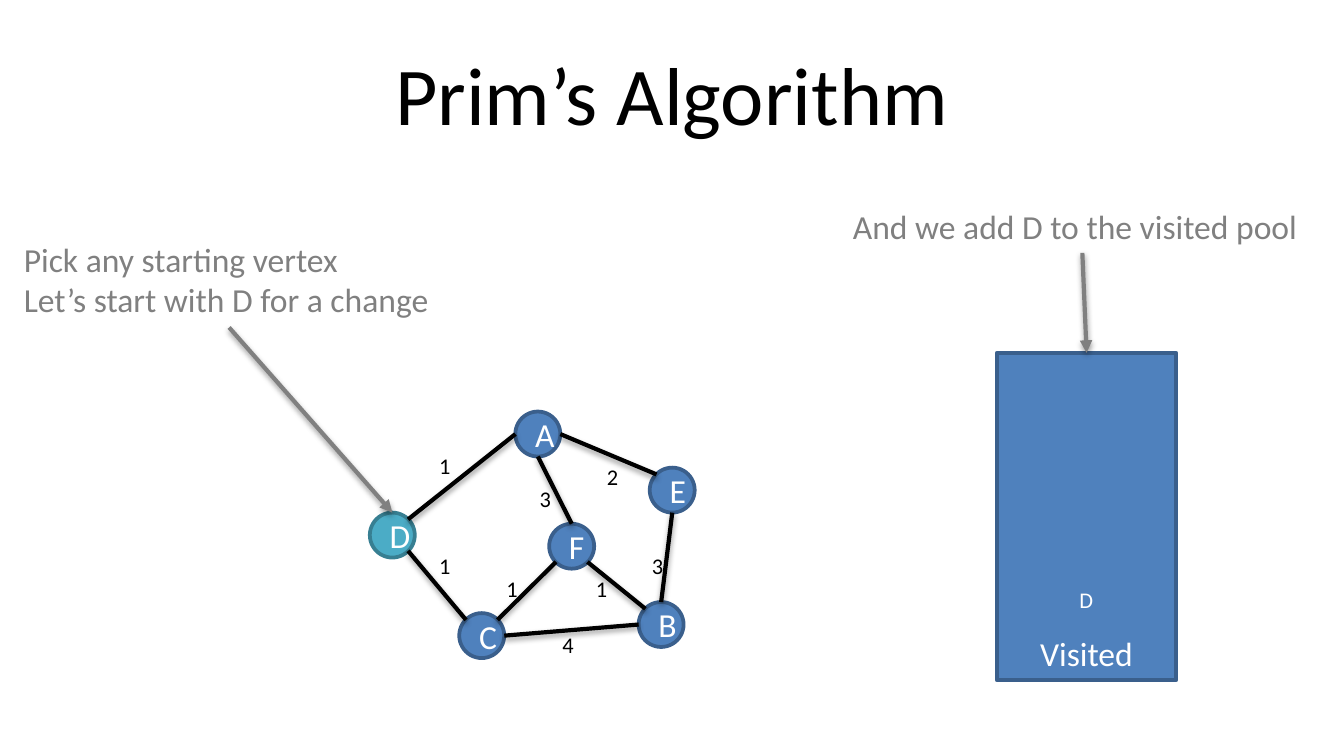
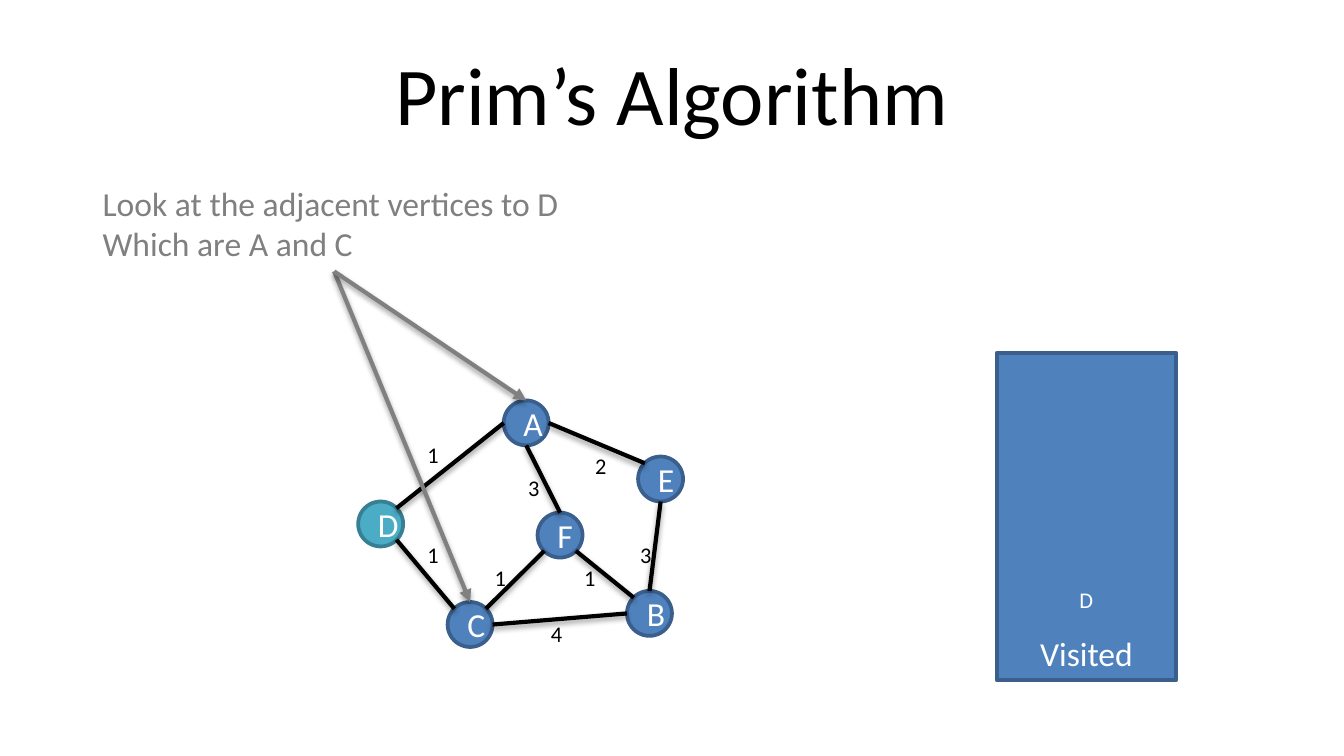
"""Build two slides that step through Prim's algorithm."""
from dataclasses import dataclass

from lxml import etree
from pptx import Presentation
from pptx.dml.color import RGBColor
from pptx.enum.shapes import MSO_CONNECTOR, MSO_SHAPE
from pptx.enum.text import MSO_ANCHOR, MSO_AUTO_SIZE, PP_ALIGN
from pptx.oxml.ns import qn
from pptx.shapes.autoshape import Shape
from pptx.shapes.connector import Connector
from pptx.slide import Slide
from pptx.text.text import TextFrame
from pptx.util import Cm, Pt

STRAIGHT = MSO_CONNECTOR.STRAIGHT
OVAL, RECTANGLE = MSO_SHAPE.OVAL, MSO_SHAPE.RECTANGLE
MIDDLE, BOTTOM_ANCHOR, TOP_ANCHOR = MSO_ANCHOR.MIDDLE, MSO_ANCHOR.BOTTOM, MSO_ANCHOR.TOP
CENTER, LEFT_ALIGN = PP_ALIGN.CENTER, PP_ALIGN.LEFT
GROW = MSO_AUTO_SIZE.SHAPE_TO_FIT_TEXT

BLACK = RGBColor(0x00, 0x00, 0x00)
WHITE = RGBColor(0xFF, 0xFF, 0xFF)
GREY = RGBColor(0x80, 0x80, 0x80)
BLUE = RGBColor(0x4F, 0x81, 0xBD)
BLUE_EDGE = RGBColor(0x3A, 0x5F, 0x8C)
TEAL = RGBColor(0x4B, 0xAC, 0xC6)
TEAL_EDGE = RGBColor(0x37, 0x7F, 0x92)
FONT = "Calibri"

Point = tuple[float, float]
Box = tuple[float, float, float, float]

TITLE = "Prim’s Algorithm"
TITLE_BOX: Box = (1.27, 0.57, 22.86, 2.38)
POOL = "Visited"
POOL_BOX: Box = (18.84, 6.67, 3.39, 6.19)
VISITED_VERTEX_BOX: Box = (20.11, 10.95, 0.84, 0.76)
START = "D"
DIAMETER = 0.85
WEIGHT_SIZE: Point = (0.74, 0.76)

NEAR, MID, FAR = 0.15, 0.5, 0.85
TOP, LEFT, BOTTOM, RIGHT = (MID, 0), (0, MID), (MID, 1), (1, MID)
TOP_LEFT, TOP_RIGHT = (NEAR, NEAR), (FAR, NEAR)
BOTTOM_LEFT, BOTTOM_RIGHT = (NEAR, FAR), (FAR, FAR)
TOP_SITE, BOTTOM_SITE = 0, 2

VERTICES: dict[str, Point] = {
    "A": (2.75, 0),
    "C": (1.69, 3.81),
    "B": (5.08, 3.6),
    "D": (0, 1.91),
    "E": (5.29, 1.06),
    "F": (3.39, 2.12),
}


@dataclass(frozen=True)
class Edge:
    """A weighted edge between points on the rims of two vertices."""

    start: str
    start_rim: Point
    end: str
    end_rim: Point
    weight: int
    weight_at: Point


@dataclass(frozen=True)
class Note:
    """A grey remark with arrows to the things it speaks of."""

    text: str
    box: Box
    targets: tuple[str, ...]


@dataclass(frozen=True)
class Step:
    """One slide: where the graph sits and what is said about it."""

    graph_origin: Point
    notes: tuple[Note, ...]


EDGES = (
    Edge("A", LEFT, "D", TOP_RIGHT, 1, (1.06, 0.64)),
    Edge("C", TOP_LEFT, "D", BOTTOM_RIGHT, 1, (1.06, 2.54)),
    Edge("C", TOP_RIGHT, "F", BOTTOM_LEFT, 1, (2.33, 2.96)),
    Edge("B", TOP_LEFT, "F", BOTTOM_RIGHT, 1, (4.02, 2.96)),
    Edge("E", BOTTOM, "B", TOP, 3, (5.08, 2.54)),
    Edge("E", TOP_LEFT, "A", RIGHT, 2, (4.23, 0.85)),
    Edge("B", LEFT, "C", RIGHT, 4, (3.39, 4.02)),
    Edge("A", BOTTOM, "F", TOP, 3, (2.96, 1.27)),
)

STEPS = (
    Step((6.99, 7.78), (
        Note("Pick any starting vertex\nLet’s start with D for a change",
             (0.2, 4.39, 8.26, 1.8), (START,)),
        Note("And we add D to the visited pool",
             (15.87, 3.76, 9.17, 1.02), (POOL,)),
    )),
    Step((6.77, 7.57), (
        Note("Look at the adjacent vertices to D\nWhich are A and C",
             (1.69, 3.33, 9.25, 1.8), ("C", "A")),
    )),
)


def write(frame: TextFrame, text: str, size: int, color: RGBColor,
          align: PP_ALIGN, anchor: MSO_ANCHOR) -> None:
    """Fill a text frame and format all its runs alike."""
    frame.text = text
    frame.vertical_anchor = anchor
    for paragraph in frame.paragraphs:
        paragraph.alignment = align
        for run in paragraph.runs:
            run.font.name = FONT
            run.font.size = Pt(size)
            run.font.color.rgb = color


def add_label(slide: Slide, text: str, box: Box, size: int, color: RGBColor,
              align: PP_ALIGN = LEFT_ALIGN, wrap: bool = False) -> Shape:
    """Add a text box that grows with its text."""
    label = slide.shapes.add_textbox(*map(Cm, box))
    write(label.text_frame, text, size, color, align, TOP_ANCHOR)
    label.text_frame.word_wrap = wrap
    label.text_frame.auto_size = GROW
    return label


def add_block(slide: Slide, outline: MSO_SHAPE, text: str, box: Box,
              fill: RGBColor, edge: RGBColor, anchor: MSO_ANCHOR) -> Shape:
    """Add a filled shape with centred white text."""
    block = slide.shapes.add_shape(outline, *map(Cm, box))
    block.shadow.inherit = False
    block.fill.solid()
    block.fill.fore_color.rgb = fill
    block.line.color.rgb = edge
    block.line.width = Pt(2)
    write(block.text_frame, text, 18, WHITE, CENTER, anchor)
    return block


def style_line(line: Connector, color: RGBColor, arrow: bool = False) -> None:
    """Colour a connector, give it a soft shadow and maybe an arrowhead."""
    line.line.color.rgb = color
    line.line.width = Pt(2.25)
    properties = line._element.spPr
    if arrow:
        etree.SubElement(properties.find(qn("a:ln")), qn("a:tailEnd"), type="triangle")
    effects = etree.SubElement(properties, qn("a:effectLst"))
    shadow = etree.SubElement(effects, qn("a:outerShdw"), blurRad=str(Pt(3.1)),
                              dist=str(Pt(1.6)), dir="5400000", rotWithShape="0")
    shade = etree.SubElement(shadow, qn("a:srgbClr"), val=str(BLACK))
    etree.SubElement(shade, qn("a:alpha"), val="38000")


def add_graph(slide: Slide, origin: Point) -> dict[str, Shape]:
    """Draw vertices, edges and weights, and return the vertices by name."""
    left, top = origin
    vertices = {}
    for name, (x, y) in VERTICES.items():
        fill, edge = (TEAL, TEAL_EDGE) if name == START else (BLUE, BLUE_EDGE)
        vertices[name] = add_block(slide, OVAL, name,
                                   (left + x, top + y, DIAMETER, DIAMETER),
                                   fill, edge, MIDDLE)

    def rim_point(name: str, rim: Point) -> Point:
        """Place a rim fraction of a vertex on the slide."""
        x, y = VERTICES[name]
        return left + x + rim[0] * DIAMETER, top + y + rim[1] * DIAMETER

    for edge in EDGES:
        ends = rim_point(edge.start, edge.start_rim) + rim_point(edge.end, edge.end_rim)
        style_line(slide.shapes.add_connector(STRAIGHT, *map(Cm, ends)), BLACK)
    for edge in EDGES:
        x, y = edge.weight_at
        add_label(slide, str(edge.weight), (left + x, top + y, *WEIGHT_SIZE), 12, BLACK)
    return vertices


def add_note(slide: Slide, note: Note, targets: dict[str, Shape]) -> None:
    """Write a remark and point from its lower side to its targets."""
    remark = add_label(slide, note.text, note.box, 18, GREY)
    for name in note.targets:
        arrow = slide.shapes.add_connector(STRAIGHT, 0, 0, 0, 0)
        arrow.begin_connect(remark, BOTTOM_SITE)
        arrow.end_connect(targets[name], TOP_SITE)
        style_line(arrow, GREY, arrow=True)


def add_step(deck: Presentation, step: Step) -> None:
    """Add the slide for one step of the algorithm."""
    slide = deck.slides.add_slide(deck.slide_layouts[5])
    title = slide.shapes.title
    title.left, title.top, title.width, title.height = map(Cm, TITLE_BOX)
    write(title.text_frame, TITLE, 44, BLACK, CENTER, MIDDLE)
    pool = add_block(slide, RECTANGLE, POOL, POOL_BOX, BLUE, BLUE_EDGE, BOTTOM_ANCHOR)
    targets = {POOL: pool, **add_graph(slide, step.graph_origin)}
    add_label(slide, START, VISITED_VERTEX_BOX, 12, WHITE, CENTER, wrap=True)
    for note in step.notes:
        add_note(slide, note, targets)


def main() -> None:
    """Build and save the deck."""
    deck = Presentation()
    deck.slide_width, deck.slide_height = Cm(25.4), Cm(14.29)
    for step in STEPS:
        add_step(deck, step)
    deck.save("out.pptx")


if __name__ == "__main__":
    main()
